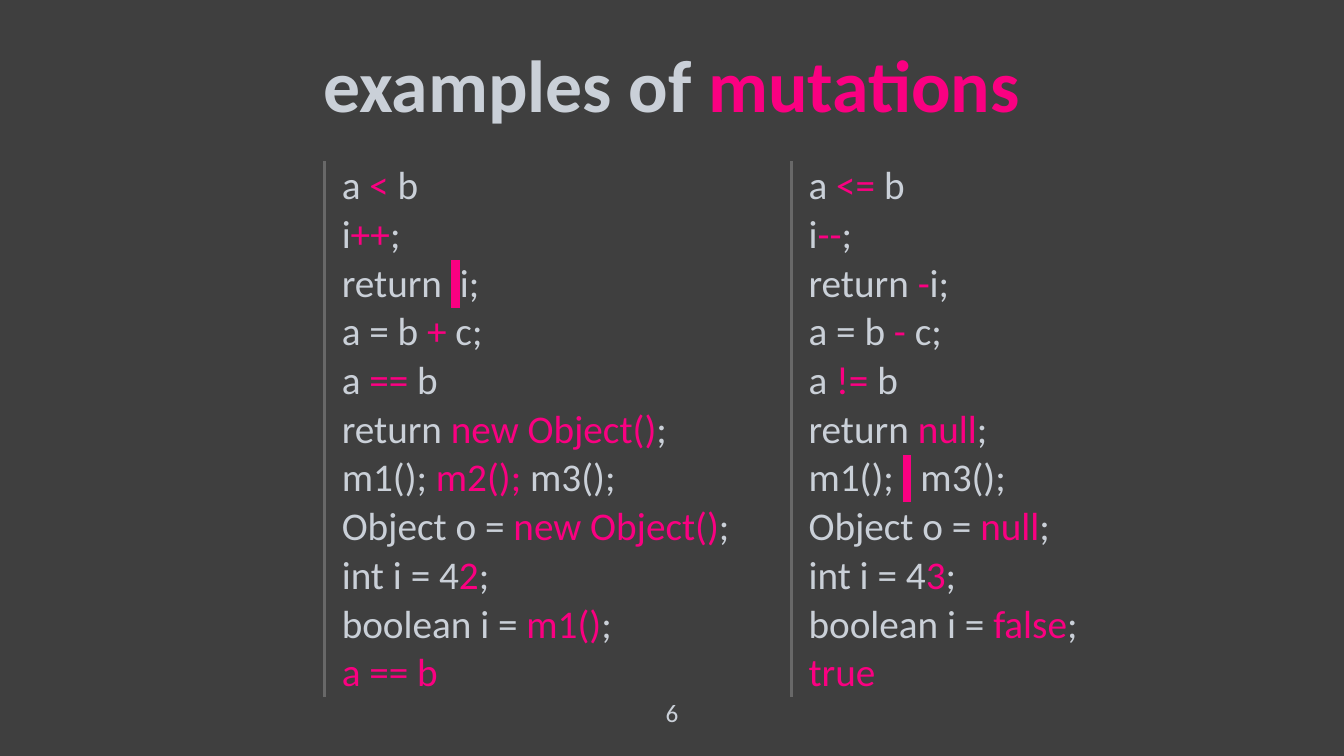
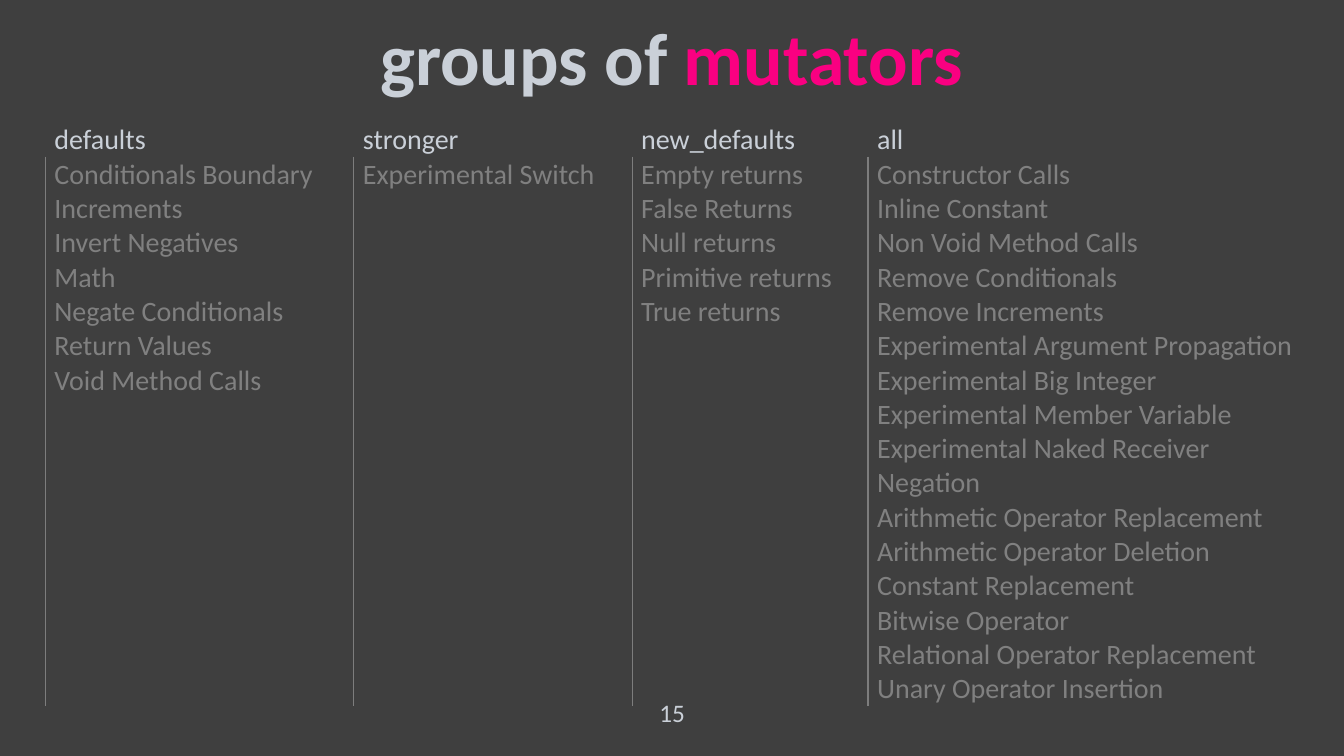
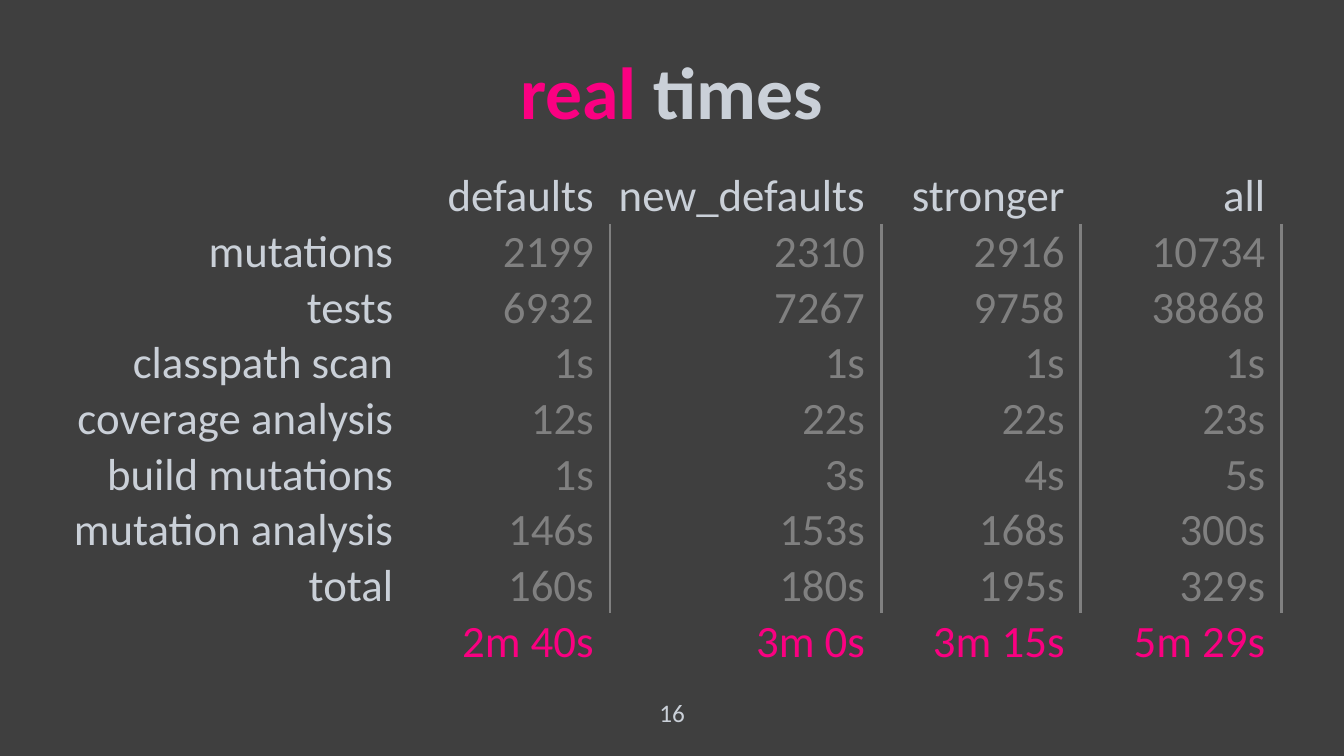
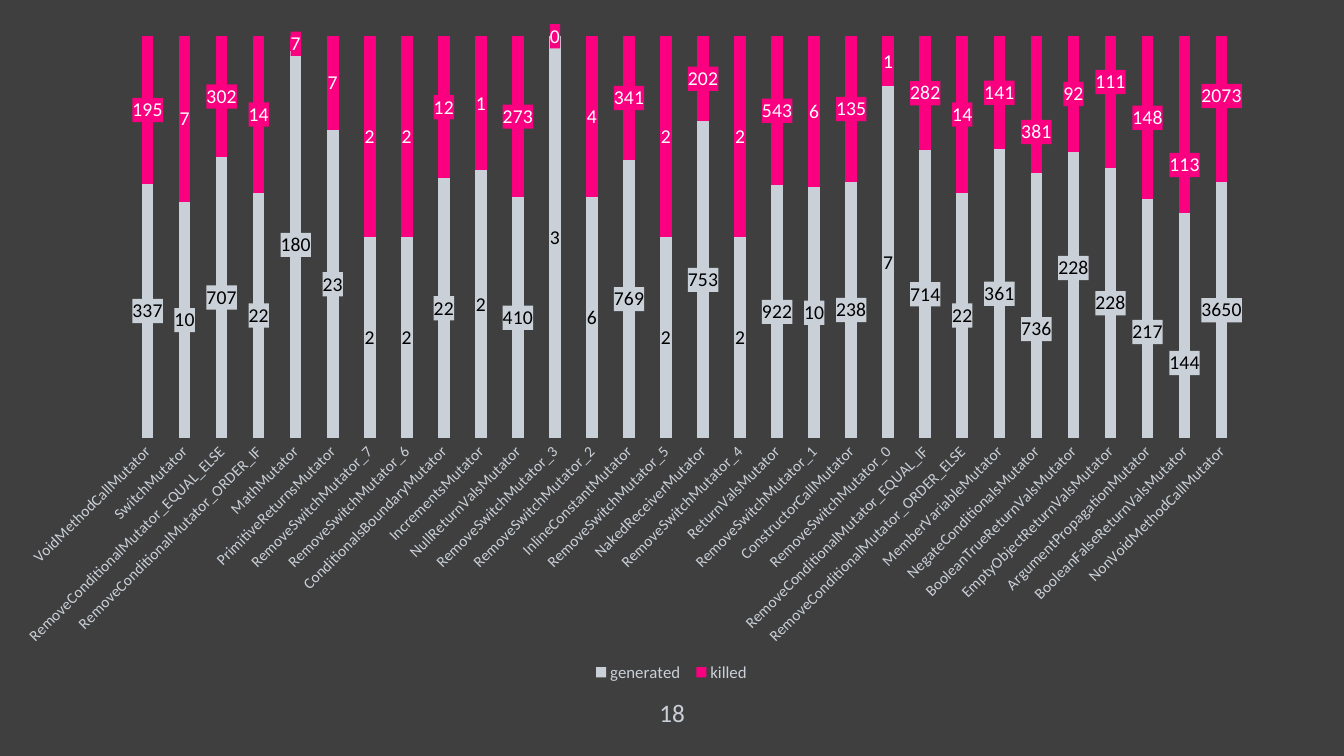
import copy

import pptx
import pptx.chart.data
import pptx.dml.color
import pptx.enum.chart
import pptx.enum.text
import pptx.oxml
import pptx.oxml.ns
import pptx.util

Inches = pptx.util.Inches
Pt = pptx.util.Pt
RGB = pptx.dml.color.RGBColor.from_string
ALIGN = pptx.enum.text.PP_ALIGN
ANCHOR = pptx.enum.text.MSO_ANCHOR
nsdecls = pptx.oxml.ns.nsdecls
parse_xml = pptx.oxml.parse_xml

FONT = "Calibri"
COLORS = {
    "back": "3F3F3F",
    "text": "CAD0D8",
    "accent": "FA0081",
    "grey": "808080",
    "code_line": "686868",
    "group_line": "7D7D7D",
    "black": "000000",
    "white": "FFFFFF",
}
NO_STYLE = "{2D5ABB26-0587-4C30-8999-92F81FD0307C}"


def write(tf, text, size, color="text", align=ALIGN.LEFT, bold=False, spacing=None):
    """Write one paragraph; parts between bars are in the accent colour, an accent space is a block."""
    p = tf.paragraphs[0]
    p.alignment = align
    p.line_spacing = spacing
    for i, part in enumerate(text.split("|")):
        for j, line in enumerate(part.split("\n")):
            if j:
                p.add_line_break()
            if not line:
                continue
            r = p.add_run()
            r.text = line
            r.font.size, r.font.name, r.font.bold = Pt(size), FONT, bold
            r.font.color.rgb = RGB(COLORS["accent" if i % 2 else color])
            if i % 2 and line == " ":
                fill = r.font._element.find(pptx.oxml.ns.qn("a:solidFill"))
                fill.addnext(parse_xml(
                    f'<a:highlight {nsdecls("a")}><a:srgbClr val="{COLORS["accent"]}"/></a:highlight>'))


def add_table(s, left, top, widths, heights, rows, margins, edge, has_edge, color_at, anchor, **fmt):
    """Add a plain table; edge is (side tag, colour, points) for the cells that has_edge picks."""
    table = s.shapes.add_table(len(rows), len(widths), Inches(left), Inches(top),
                               Inches(sum(widths)), Inches(sum(heights))).table
    table.first_row = table.horz_banding = False
    table._tbl.tblPr.find(pptx.oxml.ns.qn("a:tableStyleId")).text = NO_STYLE
    for column, width in zip(table.columns, widths):
        column.width = Inches(width)
    for i, (row, height) in enumerate(zip(rows, heights)):
        table.rows[i].height = Inches(height)
        for j, text in enumerate(row):
            cell = table.cell(i, j)
            cell.fill.background()
            cell.vertical_anchor = anchor
            cell.margin_left, cell.margin_right = map(Inches, margins)
            cell.margin_top, cell.margin_bottom = Inches(0.01), 0
            write(cell.text_frame, text, color=color_at(i, j), **fmt)
            if has_edge(i, j):
                side, color, points = edge
                cell._tc.tcPr.insert(0, parse_xml(
                    f'<a:{side} {nsdecls("a")} w="{Pt(points)}"><a:solidFill>'
                    f'<a:srgbClr val="{COLORS[color]}"/></a:solidFill></a:{side}>'))


prs = pptx.Presentation()
prs.slide_width, prs.slide_height = Inches(13.33), Inches(7.5)
background = prs.slide_master.background.fill
background.solid()
background.fore_color.rgb = RGB(COLORS["back"])

# Titles and page numbers
slides = []
for number, title, title_top in [
    (6, "examples of |mutations", 0.15),
    (15, "groups of |mutators", -0.11),
    (16, "|real| times", 0.22),
    (18, None, None),
]:
    s = prs.slides.add_slide(prs.slide_layouts[6])
    slides.append(s)
    if title:
        tf = s.shapes.add_textbox(Inches(0.91), Inches(title_top), Inches(11.5), Inches(1.45)).text_frame
        tf.word_wrap = True
        tf.vertical_anchor = ANCHOR.MIDDLE
        write(tf, title, 52.6, align=ALIGN.CENTER, bold=True, spacing=0.9)
    tf = s.shapes.add_textbox(Inches(5.79), Inches(6.87), Inches(1.75), Inches(0.4)).text_frame
    tf.word_wrap = True
    tf.auto_size = pptx.enum.text.MSO_AUTO_SIZE.SHAPE_TO_FIT_TEXT
    write(tf, str(number), 18, align=ALIGN.CENTER)
mutations_slide, groups_slide, times_slide, chart_slide = slides

# Examples of mutations
mutations = [
    ("a |<| b", "a |<=| b"),
    ("i|++|;", "i|--|;"),
    ("return | |i;", "return |-|i;"),
    ("a = b |+| c;", "a = b |-| c;"),
    ("a |==| b", "a |!=| b"),
    ("return |new Object()|;", "return |null|;"),
    ("m1(); |m2();| m3();", "m1(); | | m3();"),
    ("Object o = |new Object()|;", "Object o = |null|;"),
    ("int i = 4|2|;", "int i = 4|3|;"),
    ("boolean i = |m1()|;", "boolean i = |false|;"),
    ("|a == b", "|true"),
]
add_table(mutations_slide, 3.22, 1.6, [4.63, 3], [5.32 / len(mutations)] * len(mutations), mutations,
          margins=(0.17, 0.01), edge=("lnL", "code_line", 2.25), has_edge=lambda i, j: True,
          color_at=lambda i, j: "text", anchor=ANCHOR.BOTTOM, size=28)

# Groups of mutators
groups = {
    "defaults": ["Conditionals Boundary", "Increments", "Invert Negatives", "Math",
                 "Negate Conditionals", "Return Values", "Void Method Calls"],
    "stronger": ["Experimental Switch"],
    "new_defaults": ["Empty returns", "False Returns", "Null returns", "Primitive returns",
                     "True returns"],
    "all": ["Constructor Calls", "Inline Constant", "Non Void Method Calls", "Remove Conditionals",
            "Remove Increments", "Experimental Argument Propagation", "Experimental Big Integer",
            "Experimental Member Variable", "Experimental Naked Receiver", "Negation",
            "Arithmetic Operator Replacement", "Arithmetic Operator Deletion",
            "Constant Replacement", "Bitwise Operator", "Relational Operator Replacement",
            "Unary Operator Insertion"],
}
add_table(groups_slide, 0.45, 1.21, [3.06, 2.76, 2.34, 4.27], [0.34, 5.45],
          [list(groups), ["\n".join(names) for names in groups.values()]],
          margins=(0.09, 0.01), edge=("lnL", "group_line", 1), has_edge=lambda i, j: i == 1,
          color_at=lambda i, j: "grey" if i else "text", anchor=ANCHOR.TOP, size=20)

# Real times
times = [
    ("", "defaults", "new_defaults", "stronger", "all"),
    ("mutations", "2199", "2310", "2916", "10734"),
    ("tests", "6932", "7267", "9758", "38868"),
    ("classpath scan", "1s", "1s", "1s", "1s"),
    ("coverage analysis", "12s", "22s", "22s", "23s"),
    ("build mutations", "1s", "3s", "4s", "5s"),
    ("mutation analysis", "146s", "153s", "168s", "300s"),
    ("total", "160s", "180s", "195s", "329s"),
    ("", "|2m 40s", "|3m 0s", "|3m 15s", "|5m 29s"),
]
add_table(times_slide, 0.63, 1.67, [3.43, 1.99, 2.69, 1.98, 1.99], [4.97 / len(times)] * len(times),
          times, margins=(0.01, 0.16), edge=("lnR", "grey", 2.25),
          has_edge=lambda i, j: 0 < i < len(times) - 1 and j > 0,
          color_at=lambda i, j: "grey" if i and j else "text",
          anchor=ANCHOR.BOTTOM, size=32, align=ALIGN.RIGHT)

# Generated and killed mutations by mutator
results = [
    ("VoidMethodCallMutator", 337, 195),
    ("SwitchMutator", 10, 7),
    ("RemoveConditionalMutator_EQUAL_ELSE", 707, 302),
    ("RemoveConditionalMutator_ORDER_IF", 22, 14),
    ("MathMutator", 180, 7),
    ("PrimitiveReturnsMutator", 23, 7),
    ("RemoveSwitchMutator_7", 2, 2),
    ("RemoveSwitchMutator_6", 2, 2),
    ("ConditionalsBoundaryMutator", 22, 12),
    ("IncrementsMutator", 2, 1),
    ("NullReturnValsMutator", 410, 273),
    ("RemoveSwitchMutator_3", 3, 0),
    ("RemoveSwitchMutator_2", 6, 4),
    ("InlineConstantMutator", 769, 341),
    ("RemoveSwitchMutator_5", 2, 2),
    ("NakedReceiverMutator", 753, 202),
    ("RemoveSwitchMutator_4", 2, 2),
    ("ReturnValsMutator", 922, 543),
    ("RemoveSwitchMutator_1", 10, 6),
    ("ConstructorCallMutator", 238, 135),
    ("RemoveSwitchMutator_0", 7, 1),
    ("RemoveConditionalMutator_EQUAL_IF", 714, 282),
    ("RemoveConditionalMutator_ORDER_ELSE", 22, 14),
    ("MemberVariableMutator", 361, 141),
    ("NegateConditionalsMutator", 736, 381),
    ("BooleanTrueReturnValsMutator", 228, 92),
    ("EmptyObjectReturnValsMutator", 228, 111),
    ("ArgumentPropagationMutator", 217, 148),
    ("BooleanFalseReturnValsMutator", 144, 113),
    ("NonVoidMethodCallMutator", 3650, 2073),
]
names, generated, killed = zip(*results)
data = pptx.chart.data.CategoryChartData()
data.categories = names
data.add_series("generated", generated)
data.add_series("killed", killed)
chart_w, chart_h = 12.56, 6.66
chart = chart_slide.shapes.add_chart(
    pptx.enum.chart.XL_CHART_TYPE.COLUMN_STACKED_100,
    Inches(0), Inches(0.23), Inches(chart_w), Inches(chart_h), data).chart
chart.has_title = False
chart.font.size, chart.font.name = Pt(10), FONT
chart.font.color.rgb = RGB(COLORS["black"])

chart.has_legend = True
chart.legend.position = pptx.enum.chart.XL_LEGEND_POSITION.BOTTOM
chart.legend.include_in_layout = False
axis = chart.category_axis
for font, size in [(chart.legend.font, 12), (axis.tick_labels.font, 11)]:
    font.size, font.name = Pt(size), FONT
    font.color.rgb = RGB(COLORS["text"])
axis.major_tick_mark = pptx.enum.chart.XL_TICK_MARK.NONE
axis.format.line.fill.background()
chart.element.xpath(".//c:catAx/c:txPr/a:bodyPr")[0].set("rot", "-2700000")
chart.value_axis.visible = False
chart.value_axis.has_major_gridlines = False

# Places of the plot and the legend inside the chart, in inches
for layout in chart.element.xpath(".//c:plotArea/c:layout | .//c:legend/c:layout"):
    layout.getparent().remove(layout)
for tag, index, target, (x, y, w, h) in [
    ("plotArea", 0, '<c:layoutTarget val="inner"/>', (1.28, 0.13, 11.02, 3.99)),
    ("legend", 1, "", (5.81, 6.3, 1.7, 0.28)),
]:
    chart.element.xpath(f".//c:{tag}")[0].insert(index, parse_xml(
        f'<c:layout {nsdecls("c")}><c:manualLayout>{target}'
        '<c:xMode val="edge"/><c:yMode val="edge"/>'
        f'<c:x val="{x / chart_w}"/><c:y val="{y / chart_h}"/>'
        f'<c:w val="{w / chart_w}"/><c:h val="{h / chart_h}"/></c:manualLayout></c:layout>'))

plot = chart.plots[0]
plot.gap_width, plot.overlap = 219, 100
plot.vary_by_categories = False
# Labels moved down, in inches by point
series_styles = [
    ("text", "black", {24: 0.23, 25: -0.27, 27: 0.13, 28: 0.37}),
    ("accent", "white", {24: 0.27, 26: -0.2, 28: 0.4, 29: -0.13}),
]
for series, (fill, label_color, shifts) in zip(plot.series, series_styles):
    series.format.fill.solid()
    series.format.fill.fore_color.rgb = RGB(COLORS[fill])
    box = parse_xml(f'<c:spPr {nsdecls("c", "a")}><a:solidFill>'
                    f'<a:srgbClr val="{COLORS[fill]}"/></a:solidFill></c:spPr>')
    labels = series.data_labels
    labels.show_value = True
    point_labels = [series.points[i].data_label for i in shifts]
    for font in [labels.font] + [label.font for label in point_labels]:
        font.size, font.name = Pt(14), FONT
        font.color.rgb = RGB(COLORS[label_color])
    series._element.xpath("c:dLbls/c:txPr")[0].addprevious(copy.deepcopy(box))
    for leader in series._element.xpath("c:dLbls/c:showLeaderLines"):
        leader.set("val", "0")
    for i, shift in shifts.items():
        idx = series._element.xpath(f"c:dLbls/c:dLbl/c:idx[@val='{i}']")[0]
        idx.addnext(copy.deepcopy(box))
        idx.addnext(parse_xml(f'<c:layout {nsdecls("c")}><c:manualLayout><c:x val="0"/>'
                              f'<c:y val="{shift / chart_h}"/></c:manualLayout></c:layout>'))

prs.save("out.pptx")
